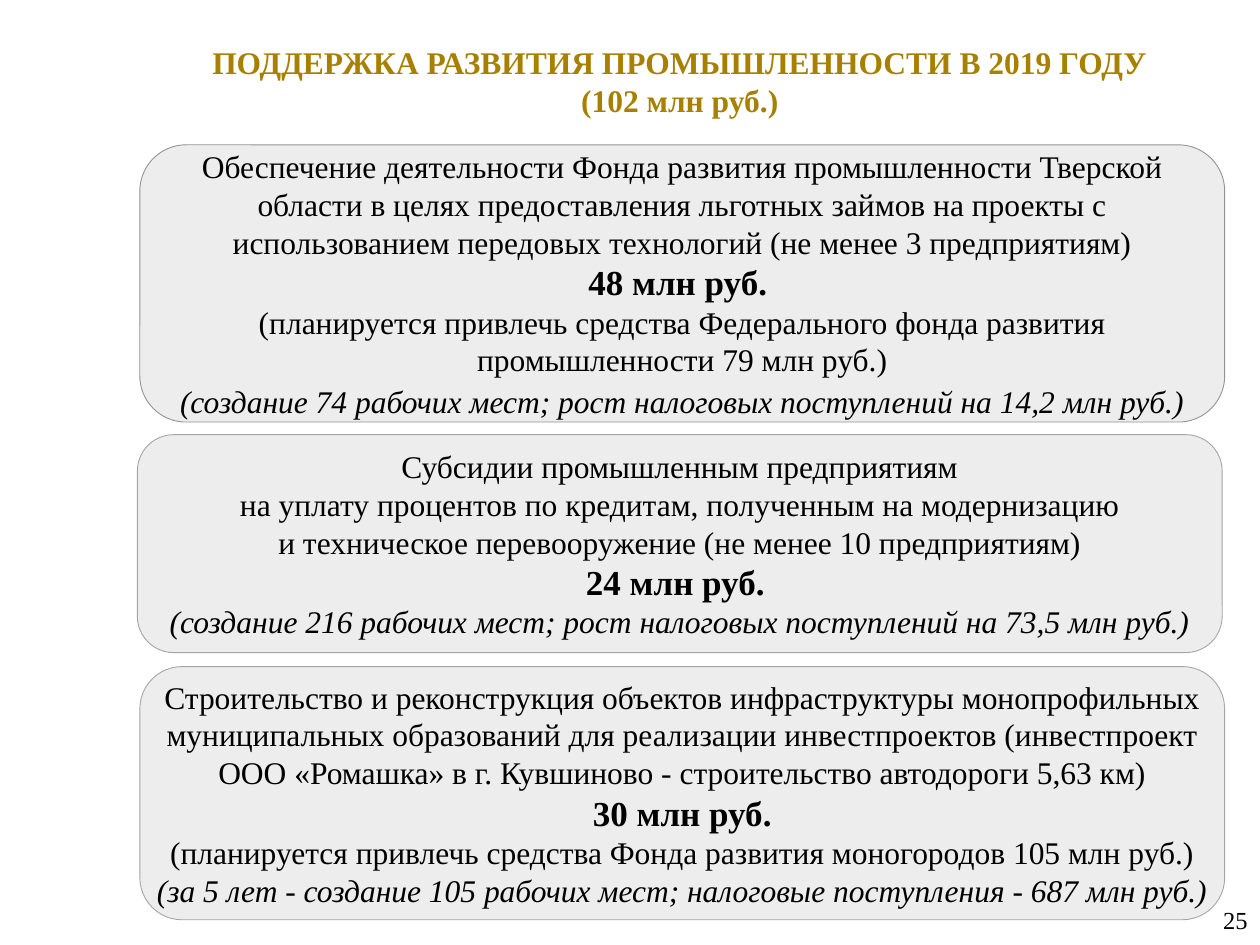
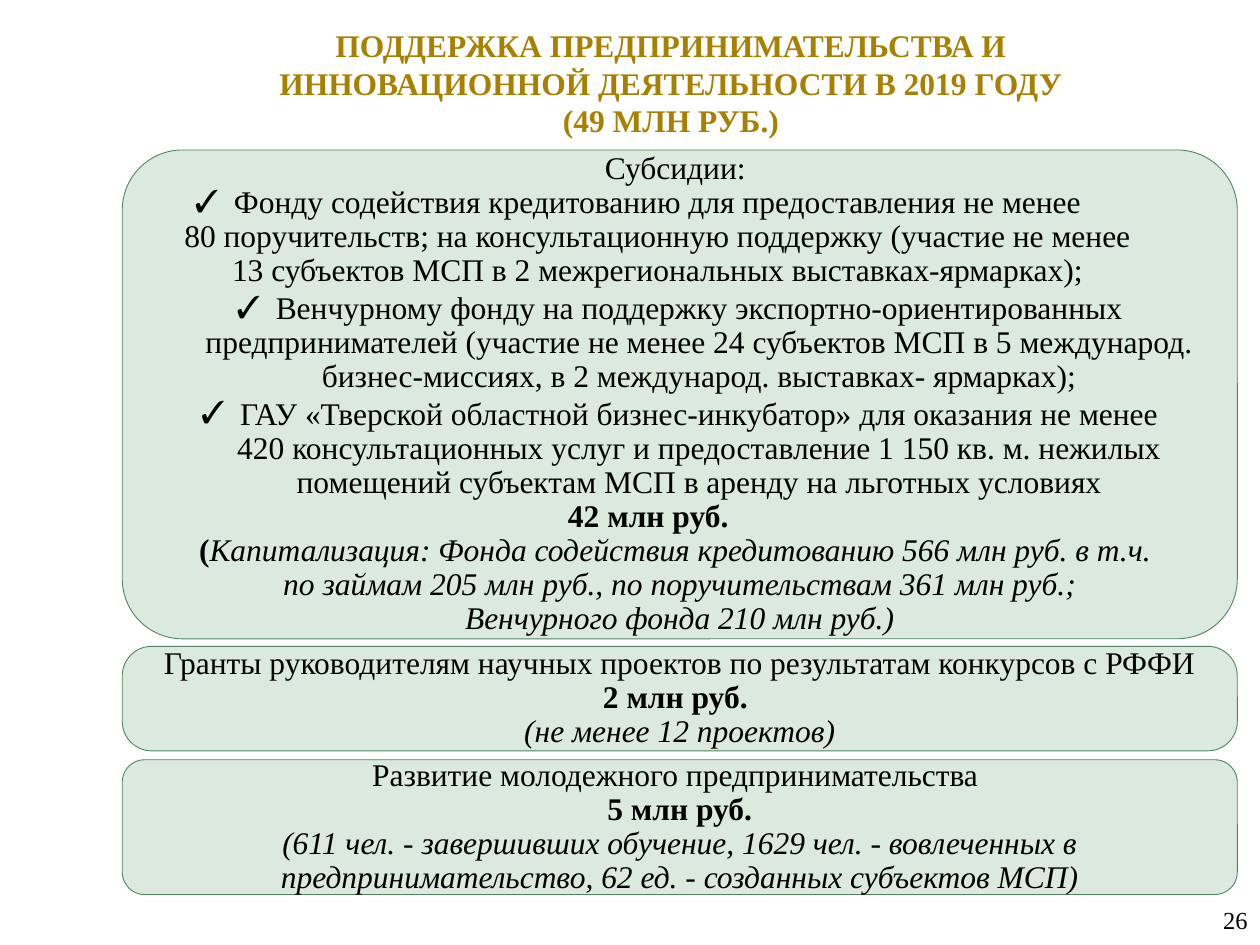
"""Build two slides on regional support for industry and entrepreneurship."""
from dataclasses import dataclass, field

from pptx import Presentation
from pptx import util as u
from pptx.dml.color import RGBColor
from pptx.enum import shapes, text
from pptx.oxml import ns
from lxml import etree


@dataclass(frozen=True)
class Theme:
    font: str = "Times New Roman"
    title: str = "A88000"
    ink: str = "000000"
    grey: str = "EDEDED"
    grey_edge: str = "A5A5A5"
    dark_edge: str = "939393"
    green: str = "DBE9DF"
    green_edge: str = "528460"
    body_size: int = 18
    amount_size: int = 20
    number_size: int = 14
    edge_width: float = 0.5


THEME = Theme()


@dataclass(frozen=True)
class Area:
    left: float
    top: float
    width: float
    height: float

    def lengths(self) -> list[u.Length]:
        return [u.Inches(side) for side in (self.left, self.top, self.width, self.height)]


@dataclass(frozen=True)
class Line:
    text: str
    bold: bool = False
    italic: bool = False
    size: int = THEME.body_size
    bold_lead: str = ""
    bullet: bool = False
    right_margin: float = 0
    space_after: float = 0


@dataclass(frozen=True)
class Panel:
    area: Area
    lines: list[Line]
    edge: str
    side_inset: float = 0.1
    corner: float = 0.1667


@dataclass(frozen=True)
class Page:
    title: str
    title_area: Area
    number: int
    fill: str
    line_spacing: float
    panels: list[Panel] = field(default_factory=list)


NUMBER_AREA = Area(7.75, 7.1, 2.25, 0.4)
TIGHT_INSET = 0.01
BULLET_INDENT = 0.31


def amount(value: str, size: int = THEME.body_size, right_margin: float = 0) -> Line:
    return Line(value, bold=True, size=size, right_margin=right_margin)


def effect(value: str) -> Line:
    return Line(value, italic=True)


def industry_panel(left: float, top: float, height: float, lines: list[Line],
                   edge: str = THEME.grey_edge, side_inset: float = TIGHT_INSET) -> Panel:
    return Panel(Area(left, top, 8.61, height), lines, edge, side_inset)


def business_panel(top: float, height: float, lines: list[Line],
                   corner: float = 0.1667, side_inset: float = 0.1) -> Panel:
    return Panel(Area(0.97, top, 8.85, height), lines, THEME.green_edge, side_inset, corner)


PAGES = [
    Page(
        "ПОДДЕРЖКА РАЗВИТИЯ ПРОМЫШЛЕННОСТИ В 2019 ГОДУ\n(102 млн руб.)",
        Area(1.18, 0.22, 8.43, 0.85), 25, THEME.grey, 1.0,
        [
            industry_panel(1.11, 1.15, 2.2, [
                Line("Обеспечение деятельности Фонда развития промышленности Тверской области "
                     "в целях предоставления льготных займов на проекты с использованием "
                     "передовых технологий (не менее 3 предприятиям)"),
                amount("48 млн руб.", THEME.amount_size, right_margin=0.07),
                Line("(планируется привлечь средства Федерального фонда развития "
                     "промышленности 79 млн руб.)", space_after=2),
                effect("(создание 74 рабочих мест; рост налоговых поступлений на 14,2 млн руб.)"),
            ], edge=THEME.dark_edge),
            industry_panel(1.09, 3.45, 1.73, [
                Line("Субсидии промышленным предприятиям"),
                Line("на уплату процентов по кредитам, полученным на модернизацию"),
                Line("и техническое перевооружение (не менее 10 предприятиям)"),
                amount("24 млн руб.", THEME.amount_size, right_margin=0.07),
                effect("(создание 216 рабочих мест; рост налоговых поступлений на 73,5 млн руб.)"),
            ], side_inset=0.1),
            industry_panel(1.11, 5.29, 2.01, [
                Line("Строительство и реконструкция объектов инфраструктуры монопрофильных "
                     "муниципальных образований для реализации инвестпроектов (инвестпроект "
                     "ООО «Ромашка» в г. Кувшиново - строительство автодороги 5,63 км)"),
                amount("30 млн руб.", THEME.amount_size),
                Line("(планируется привлечь средства Фонда развития моногородов 105 млн руб.)"),
                effect("(за 5 лет - создание 105 рабочих мест; "
                       "налоговые поступления - 687 млн руб.)"),
            ]),
        ],
    ),
    Page(
        "ПОДДЕРЖКА ПРЕДПРИНИМАТЕЛЬСТВА И\n"
        "ИННОВАЦИОННОЙ ДЕЯТЕЛЬНОСТИ В 2019 ГОДУ\n(49 МЛН РУБ.)",
        Area(1.11, 0.14, 8.43, 1.03), 26, THEME.green, 0.9,
        [
            business_panel(1.19, 3.88, [
                Line("Субсидии:", right_margin=0.07),
                Line("Фонду содействия кредитованию для предоставления не менее\v"
                     "80 поручительств; на консультационную поддержку (участие не менее\v"
                     "13 субъектов МСП в 2 межрегиональных выставках-ярмарках);",
                     bullet=True, right_margin=0.66, space_after=2),
                Line("Венчурному фонду на поддержку экспортно-ориентированных\v"
                     "предпринимателей (участие не менее 24 субъектов МСП в 5 международ.\v"
                     "бизнес-миссиях, в 2 международ. выставках- ярмарках);",
                     bullet=True, space_after=2),
                Line("ГАУ «Тверской областной бизнес-инкубатор» для оказания не менее\v"
                     "420 консультационных услуг и предоставление 1 150 кв. м. нежилых\v"
                     "помещений субъектам МСП в аренду на льготных условиях", bullet=True),
                amount("42 млн руб.", right_margin=0.5),
                Line("Капитализация: Фонда содействия кредитованию 566 млн руб. в т.ч.",
                     italic=True, bold_lead="(", right_margin=0.07),
                effect("по займам 205 млн руб., по поручительствам 361 млн руб.;"),
                effect("Венчурного фонда 210 млн руб.)"),
            ], corner=0.123, side_inset=TIGHT_INSET),
            business_panel(5.13, 0.83, [
                Line("Гранты руководителям научных проектов по результатам конкурсов с РФФИ"),
                amount("2 млн руб.", right_margin=0.07),
                effect("(не менее 12 проектов)"),
            ], corner=0.282),
            business_panel(6.03, 1.07, [
                Line("Развитие молодежного предпринимательства", right_margin=0.07),
                amount("5 млн руб."),
                effect("(611 чел. - завершивших обучение, 1629 чел. - вовлеченных в "
                       "предпринимательство, 62 ед. - созданных субъектов МСП)"),
            ]),
        ],
    ),
]


def style_span(span, size: int, color: str = THEME.ink,
               bold: bool = False, italic: bool = False) -> None:
    span.font.name = THEME.font
    span.font.size = u.Pt(size)
    span.font.color.rgb = RGBColor.from_string(color)
    span.font.bold = bold
    span.font.italic = italic


def prepare_frame(frame, side_inset: float = 0.1) -> None:
    frame.word_wrap = True
    frame.auto_size = text.MSO_AUTO_SIZE.NONE
    frame.vertical_anchor = text.MSO_ANCHOR.MIDDLE
    frame.margin_left = frame.margin_right = u.Inches(side_inset)
    frame.margin_top = frame.margin_bottom = u.Inches(0.05)


def fill_label(box, area: Area, label: str, size: int, color: str,
               align: text.PP_ALIGN, bold: bool = False) -> None:
    box.left, box.top, box.width, box.height = area.lengths()
    frame = box.text_frame
    prepare_frame(frame)
    frame.text = label
    for para in frame.paragraphs:
        para.alignment = align
        for span in para.runs:
            style_span(span, size, color, bold)


def write_line(para, line: Line, spacing: float) -> None:
    para.text = line.bold_lead
    for span in para.runs:
        style_span(span, line.size, bold=True)
    lead_count = len(para.runs)
    if line.bold_lead:
        para.add_run().text = line.text
    else:
        para.text = line.text
    for span in para.runs[lead_count:]:
        style_span(span, line.size, bold=line.bold, italic=line.italic)
    para.alignment = text.PP_ALIGN.CENTER
    para.line_spacing = spacing
    para.space_after = u.Pt(line.space_after)
    indent = u.Inches(BULLET_INDENT if line.bullet else 0)
    properties = para._p.get_or_add_pPr()
    properties.set("marL", str(indent))
    properties.set("marR", str(u.Inches(line.right_margin)))
    properties.set("indent", str(-indent))
    if line.bullet:
        etree.SubElement(properties, ns.qn("a:buFont"), typeface=THEME.font)
        etree.SubElement(properties, ns.qn("a:buChar"), char="✓")


def draw_panel(slide, panel: Panel, fill: str, spacing: float) -> None:
    box = slide.shapes.add_shape(shapes.MSO_SHAPE.ROUNDED_RECTANGLE, *panel.area.lengths())
    box.adjustments[0] = panel.corner
    box.shadow.inherit = False
    box.fill.solid()
    box.fill.fore_color.rgb = RGBColor.from_string(fill)
    box.line.color.rgb = RGBColor.from_string(panel.edge)
    box.line.width = u.Pt(THEME.edge_width)
    frame = box.text_frame
    prepare_frame(frame, panel.side_inset)
    for index, line in enumerate(panel.lines):
        para = frame.add_paragraph() if index else frame.paragraphs[0]
        write_line(para, line, spacing)


def draw_page(deck, page: Page) -> None:
    slide = deck.slides.add_slide(deck.slide_layouts[5])
    fill_label(slide.shapes.title, page.title_area, page.title, THEME.body_size,
               THEME.title, text.PP_ALIGN.CENTER, bold=True)
    number_box = slide.shapes.add_textbox(*NUMBER_AREA.lengths())
    fill_label(number_box, NUMBER_AREA, str(page.number), THEME.number_size,
               THEME.ink, text.PP_ALIGN.RIGHT)
    for panel in page.panels:
        draw_panel(slide, panel, page.fill, page.line_spacing)


def main() -> None:
    deck = Presentation()
    deck.slide_width, deck.slide_height = u.Inches(10), u.Inches(7.5)
    for page in PAGES:
        draw_page(deck, page)
    deck.save("out.pptx")


if __name__ == "__main__":
    main()
